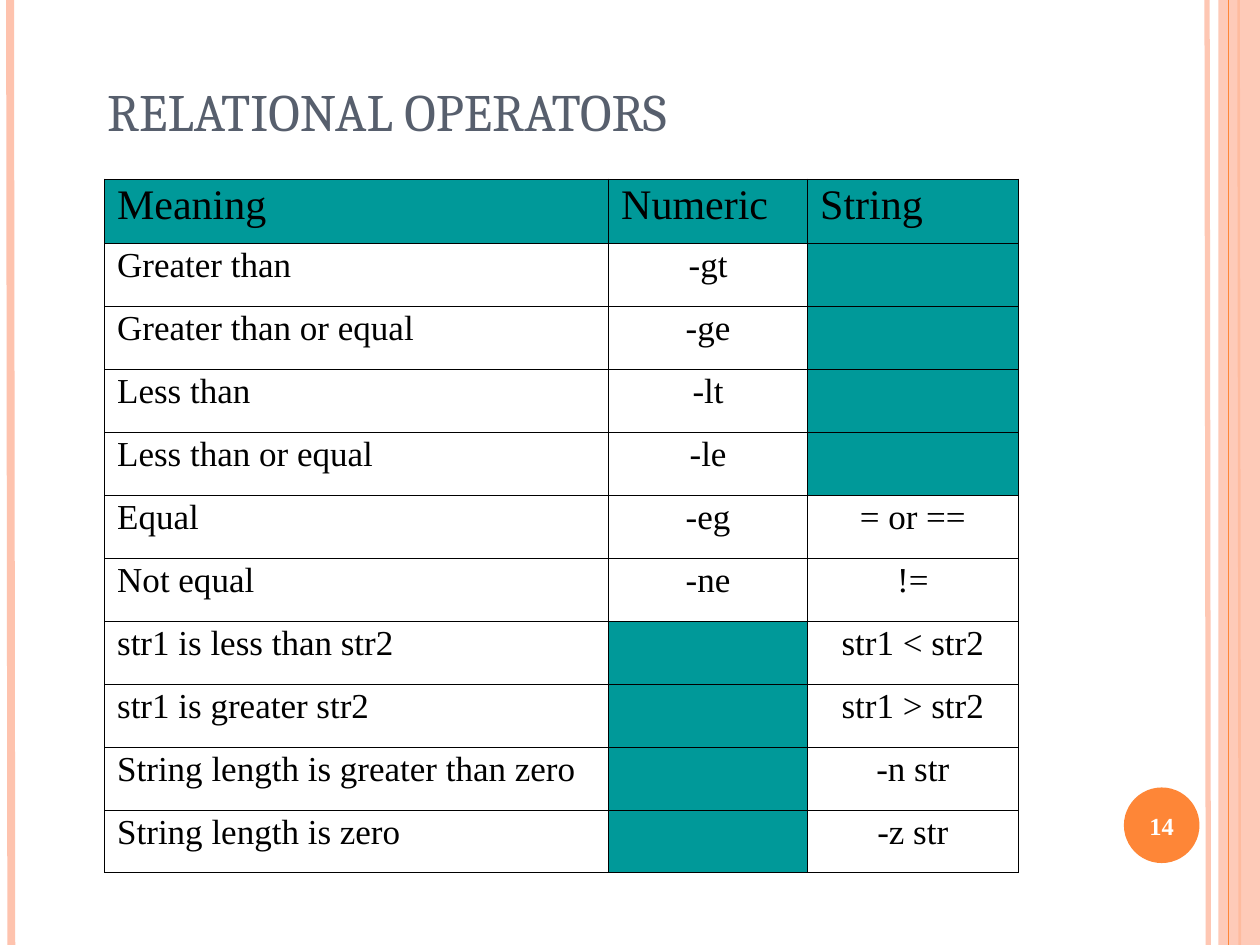
from lxml import etree
from pptx import Presentation
from pptx import util as u
from pptx.dml.color import RGBColor
from pptx.enum import shapes, text
from pptx.oxml import ns

TITLE = "RELATIONAL OPERATORS"
PAGE = "14"
HEADS = ("Meaning", "Numeric", "String")
ROWS = [
    ("Greater than", "-gt", ""),
    ("Greater than or equal", "-ge", ""),
    ("Less than", "-lt", ""),
    ("Less than or equal", "-le", ""),
    ("Equal", "-eg", "= or =="),
    ("Not equal", "-ne", "!="),
    ("str1 is less than str2", "", "str1 < str2"),
    ("str1 is greater str2", "", "str1 > str2"),
    ("String length is greater than zero", "", "-n str"),
    ("String length is zero", "", "-z str"),
]
THEME = {
    "ink": "000000", "slate": "575F6D", "teal": "009999", "white": "FFFFFF",
    "peach": "FEC3AE", "orange": "FE8637",
    "serif": "Times New Roman", "display": "Cambria",
    "title": 30, "head": 24, "body": 20, "page": 14,
    "thin": 0.23, "edge": 0.5,
}
WIDE, HIGH = 720, 540
LEFT_RULE = (5.76, 6.48, "peach", 4.5, 100)
RIGHT_RULES = [(689.76, 690.48, "peach", 3, 93), (707.76, 708.48, "orange", 1.5, 100)]
BAND_RULE = (702, 702, "orange", 0.75, 100)
BAND = (696.24, 0, 23.76, HIGH)
BADGE = (642.24, 450, 43.2, 43.2)
TITLE_BOX = (54, 18.72, 612, 66.24)
TABLE_AT = (59.76, 102.24)
COLS = (288, 113.76, 120.24)
HEAD_ROW, BODY_ROW = 36.5, 36


def pts(*vals):
    return [u.Pt(v) for v in vals]


def tone(name):
    return RGBColor.from_string(THEME[name])


def fade(fill, alpha):
    if alpha < 100:
        color = fill.find(".//" + ns.qn("a:srgbClr"))
        etree.SubElement(color, ns.qn("a:alpha"), val=str(alpha * 1000))


def add_run(para, words, size, font, color, bold=False):
    run = para.add_run()
    run.text = words
    run.font.size = u.Pt(THEME[size])
    run.font.name = THEME[font]
    run.font.color.rgb = tone(color)
    run.font.bold = bold


def add_rule(slide, rule):
    top, foot, color, width, alpha = rule
    line = slide.shapes.add_connector(
        shapes.MSO_CONNECTOR.STRAIGHT, *pts(top, 0, foot, HIGH))
    line.line.color.rgb = tone(color)
    line.line.width = u.Pt(width)
    props = line._element.spPr
    fade(props, alpha)
    etree.SubElement(props, ns.qn("a:effectLst"))


def add_block(slide, kind, box, color, alpha=100):
    block = slide.shapes.add_shape(kind, *pts(*box))
    block.shadow.inherit = False
    block.fill.solid()
    block.fill.fore_color.rgb = tone(color)
    block.line.fill.background()
    fade(block._element.spPr, alpha)
    return block


def add_borders(cell, widths):
    props = cell._tc.get_or_add_tcPr()
    for spot, (side, width) in enumerate(zip("LRTB", widths)):
        line = etree.Element(ns.qn("a:ln" + side), w=str(u.Pt(width)))
        fill = etree.SubElement(line, ns.qn("a:solidFill"))
        etree.SubElement(fill, ns.qn("a:srgbClr"), val=THEME["ink"])
        props.insert(spot, line)


def add_grid(slide):
    data = [HEADS] + ROWS
    tall = HEAD_ROW + BODY_ROW * len(ROWS)
    table = slide.shapes.add_table(
        len(data), len(COLS), *pts(*TABLE_AT, sum(COLS), tall)).table
    for col, width in zip(table.columns, COLS):
        col.width = u.Pt(width)
    for r, row in enumerate(data):
        table.rows[r].height = u.Pt(BODY_ROW if r else HEAD_ROW)
        for c, words in enumerate(row):
            cell = table.cell(r, c)
            if r == 0 or not words:
                cell.fill.solid()
                cell.fill.fore_color.rgb = tone("teal")
            else:
                cell.fill.background()
            outer = (c == 0, c == len(COLS) - 1, r == 0, r == len(data) - 1)
            add_borders(cell, [THEME["edge" if out else "thin"] for out in outer])
            if words:
                para = cell.text_frame.paragraphs[0]
                para.line_spacing = 0.93
                para.alignment = (text.PP_ALIGN.CENTER if r and c
                                  else text.PP_ALIGN.LEFT)
                add_run(para, words, "body" if r else "head", "serif", "ink")


def add_title(slide):
    title = slide.shapes.title
    title.left, title.top, title.width, title.height = pts(*TITLE_BOX)
    frame = title.text_frame
    frame.auto_size = text.MSO_AUTO_SIZE.NONE
    frame.vertical_anchor = text.MSO_ANCHOR.BOTTOM
    para = frame.paragraphs[0]
    para.alignment = text.PP_ALIGN.LEFT
    add_run(para, TITLE, "title", "display", "slate")


def add_badge(slide):
    frame = add_block(slide, shapes.MSO_SHAPE.OVAL, BADGE, "orange").text_frame
    frame.margin_left = frame.margin_right = 0
    frame.vertical_anchor = text.MSO_ANCHOR.MIDDLE
    para = frame.paragraphs[0]
    para.alignment = text.PP_ALIGN.CENTER
    add_run(para, PAGE, "page", "serif", "white", True)


def main():
    deck = Presentation()
    deck.slide_width, deck.slide_height = pts(WIDE, HIGH)
    slide = deck.slides.add_slide(deck.slide_layouts[5])
    for rule in [LEFT_RULE] + RIGHT_RULES:
        add_rule(slide, rule)
    add_block(slide, shapes.MSO_SHAPE.RECTANGLE, BAND, "peach", 87)
    add_rule(slide, BAND_RULE)
    add_title(slide)
    add_grid(slide)
    add_badge(slide)
    deck.save("out.pptx")


if __name__ == "__main__":
    main()
